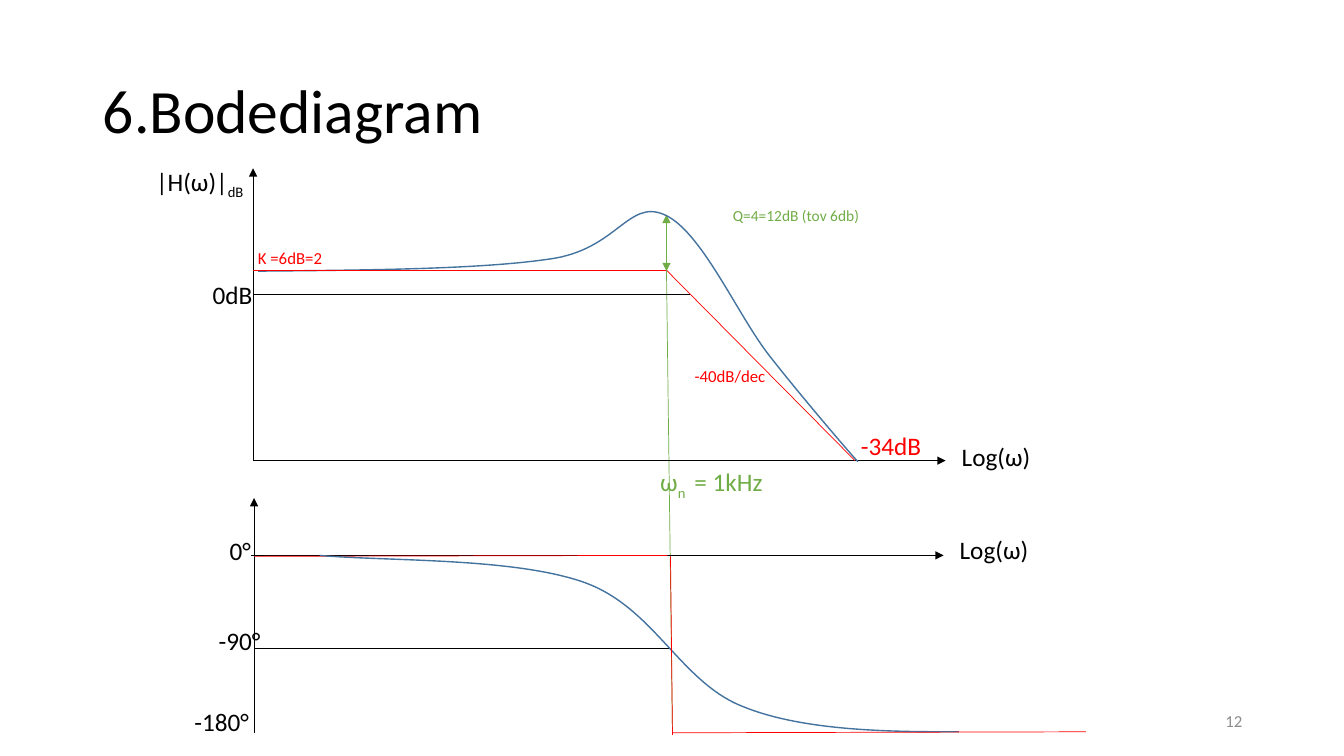
from dataclasses import dataclass

from lxml import etree
from pptx import Presentation
from pptx.dml.color import RGBColor
from pptx.enum import shapes, text
from pptx.oxml import ns
from pptx.util import Inches, Pt

BLACK = RGBColor(0x00, 0x00, 0x00)
RED = RGBColor(0xFF, 0x00, 0x00)
GREEN = RGBColor(0x70, 0xAD, 0x47)
BLUE = RGBColor(0x43, 0x73, 0x9E)
GREY = RGBColor(0x8C, 0x8C, 0x8C)
FONT = "Calibri"

Point = tuple[float, float]


@dataclass(frozen=True)
class Line:
    start: Point
    end: Point
    color: RGBColor = BLACK
    heads: tuple[str, ...] = ()


@dataclass(frozen=True)
class Label:
    left: float
    top: float
    content: str
    color: RGBColor = BLACK
    size: int = 18
    height: float = 0.4
    width: float = 1.7
    subscript: str = ""
    suffix: str = ""


@dataclass(frozen=True)
class Curve:
    top_left: Point
    bottom_right: Point
    controls: tuple[Point, ...]


AXIS = ("tailEnd",)
DIMENSION = ("headEnd", "tailEnd")

RESONANCE = [
    Line((6.61, 2.66), (6.67, 7.27), GREEN),
    Label(6.45, 4.58, "ω", GREEN, subscript="n ", suffix=" = 1kHz"),
    Label(9.44, 4.33, "Log(ω)"),
]

MAGNITUDE_PLOT = [
    Line((2.51, 4.57), (2.51, 1.67), heads=AXIS),
    Line((2.51, 4.57), (9.38, 4.57), heads=AXIS),
    Line((6.61, 2.68), (8.48, 4.57), RED),
    Label(1.45, 1.6, "|H(ω)|", subscript="dB"),
    Label(2.46, 2.41, "K =6dB=2", RED, 12, 0.3),
    Label(8.44, 4.22, "-34dB", RED),
    Line((6.61, 2.69), (6.61, 2.13), GREEN, DIMENSION),
    Line((2.52, 2.92), (6.84, 2.92)),
    Label(7.17, 2, "Q=4=12dB (tov 6db)", GREEN, 11, 0.29),
    Label(6.79, 3.58, "-40dB/dec", RED, 12, 0.3),
    Curve((2.56, 2.1), (8.51, 4.58), (
        (2.56, 2.69), (3.67, 2.68), (4.78, 2.67), (5.45, 2.57),
        (6.12, 2.48), (6.23, 1.97), (6.59, 2.13),
        (6.96, 2.29), (7.32, 3.14), (7.64, 3.54),
        (7.96, 3.95), (8.51, 4.59), (8.51, 4.58),
    )),
    Label(2.01, 2.72, "0dB"),
    Line((2.51, 2.68), (6.61, 2.68), RED),
]

PHASE_PLOT = [
    Line((2.52, 7.27), (2.52, 4.94), heads=AXIS),
    Line((2.49, 5.51), (9.36, 5.51), heads=AXIS),
    Line((2.52, 5.52), (6.62, 5.51), RED),
    Label(9.42, 5.25, "Log(ω)"),
    Label(1.83, 6.96, "-180°"),
    Line((2.53, 6.43), (6.65, 6.43)),
    Label(2.07, 6.15, "-90°"),
    Label(2.18, 5.26, "0°"),
    Curve((3.17, 5.51), (9.51, 7.26), (
        (3.17, 5.51), (3.85, 5.57), (5.1, 5.53), (5.8, 5.78),
        (6.49, 6.03), (6.75, 6.77), (7.37, 7.01),
        (7.98, 7.26), (8.89, 7.26), (9.51, 7.26),
    )),
    Line((6.67, 7.27), (10.77, 7.26), RED),
    Line((6.65, 5.52), (6.67, 7.29), RED),
]


def set_all(target, values: dict) -> None:
    for name, value in values.items():
        setattr(target, name, value)


def set_font(font, size: int, color: RGBColor) -> None:
    set_all(font, {"name": FONT, "size": Pt(size)})
    font.color.rgb = color


def draw_line(canvas, line: Line) -> None:
    ends = [Inches(v) for v in (*line.start, *line.end)]
    sp = canvas.add_connector(shapes.MSO_CONNECTOR.STRAIGHT, *ends)
    sp.line.color.rgb = line.color
    sp.line.width = Pt(0.5)
    ln = sp.line._get_or_add_ln()
    for head in line.heads:
        etree.SubElement(ln, ns.qn(f"a:{head}"), type="triangle")
    etree.SubElement(sp._element.spPr, ns.qn("a:effectLst"))


def draw_curve(canvas, curve: Curve) -> None:
    left, top = (Inches(v) for v in curve.top_left)
    right, bottom = (Inches(v) for v in curve.bottom_right)
    builder = canvas.build_freeform(left, top)
    builder.add_line_segments([(right, bottom)], close=False)
    sp = builder.convert_to_shape()
    outline = sp._element.find(f".//{ns.qn('a:path')}")
    for child in list(outline):
        outline.remove(child)
    for i, (x, y) in enumerate(curve.controls):
        if i == 0:
            command = etree.SubElement(outline, ns.qn("a:moveTo"))
        elif i % 3 == 1:
            command = etree.SubElement(outline, ns.qn("a:cubicBezTo"))
        etree.SubElement(command, ns.qn("a:pt"),
                         x=str(Inches(x) - left), y=str(Inches(y) - top))
    sp.shadow.inherit = False
    sp.fill.background()
    sp.line.color.rgb = BLUE
    sp.line.width = Pt(1)


def draw_label(canvas, label: Label):
    box = (label.left, label.top, label.width, label.height)
    sp = canvas.add_textbox(*(Inches(v) for v in box))
    tf = sp.text_frame
    set_all(tf, {"word_wrap": True, "auto_size": text.MSO_AUTO_SIZE.SHAPE_TO_FIT_TEXT})
    p = tf.paragraphs[0]
    for content in filter(None, (label.content, label.subscript, label.suffix)):
        r = p.add_run()
        r.text = content
        set_font(r.font, label.size, label.color)
        if content == label.subscript:
            r._r.get_or_add_rPr().set("baseline", "-25000")
    return tf


def draw_elements(canvas, elements: list[Line | Label | Curve]) -> None:
    painters = {Line: draw_line, Label: draw_label, Curve: draw_curve}
    for element in elements:
        painters[type(element)](canvas, element)


def draw_title(slide, content: str) -> None:
    sp = slide.shapes.title
    set_all(sp, {"left": Inches(0.92), "top": Inches(0.4),
                 "width": Inches(11.5), "height": Inches(1.45)})
    tf = sp.text_frame
    tf.text = content
    set_all(tf, {"word_wrap": True, "auto_size": text.MSO_AUTO_SIZE.NONE,
                 "vertical_anchor": text.MSO_ANCHOR.MIDDLE})
    p = tf.paragraphs[0]
    set_all(p, {"alignment": text.PP_ALIGN.LEFT, "line_spacing": 0.9})
    set_font(p.runs[0].font, 44, BLACK)


def draw_page_number(slide, number: int) -> None:
    tf = draw_label(slide.shapes, Label(9.42, 6.95, str(number), GREY, 12, width=3))
    set_all(tf, {"auto_size": text.MSO_AUTO_SIZE.NONE,
                 "vertical_anchor": text.MSO_ANCHOR.MIDDLE})
    tf.paragraphs[0].alignment = text.PP_ALIGN.RIGHT


def main() -> None:
    prs = Presentation()
    set_all(prs, {"slide_width": Inches(13.33), "slide_height": Inches(7.5)})
    slide = prs.slides.add_slide(prs.slide_layouts.get_by_name("Title Only"))
    draw_title(slide, "6.Bodediagram")
    draw_elements(slide.shapes, RESONANCE)
    for plot in (MAGNITUDE_PLOT, PHASE_PLOT):
        draw_elements(slide.shapes.add_group_shape().shapes, plot)
    draw_page_number(slide, 12)
    prs.save("out.pptx")


if __name__ == "__main__":
    main()
